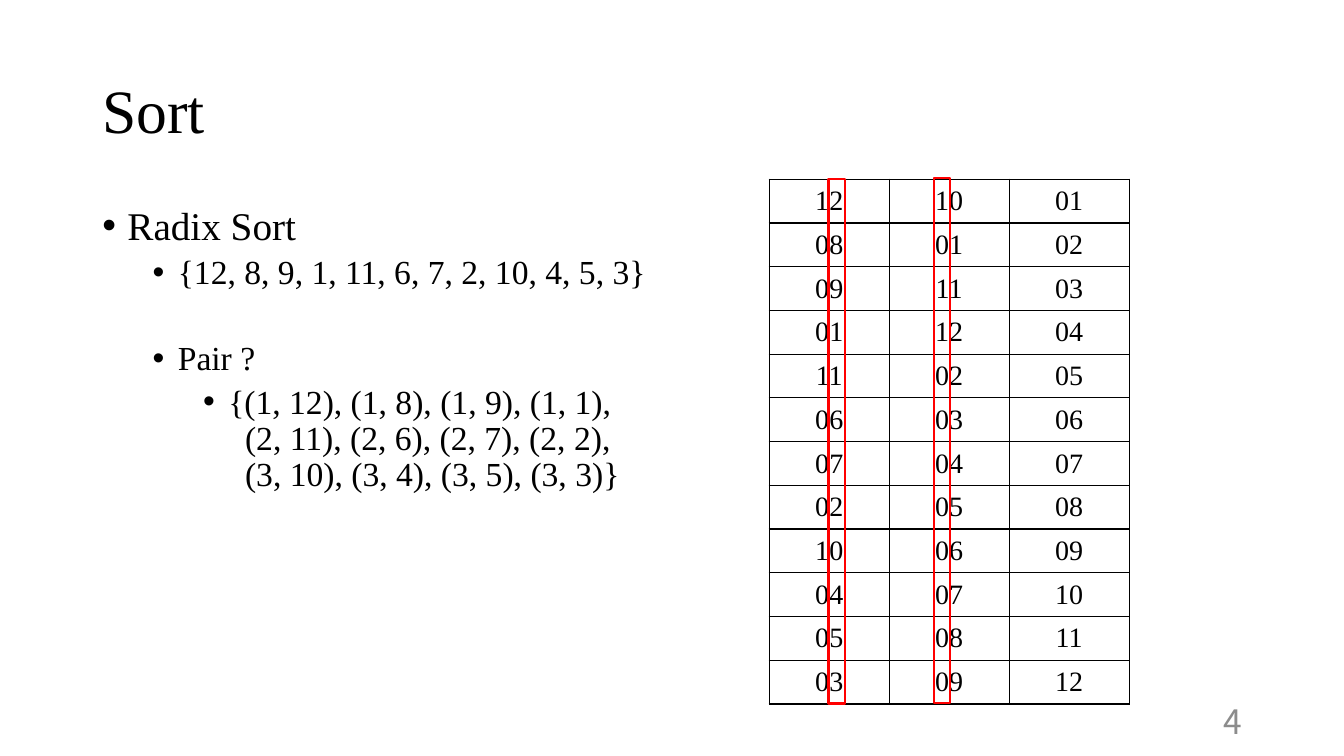
import pptx
import pptx.util
import pptx.dml.color
import pptx.enum.shapes
import pptx.enum.text
import pptx.oxml
import pptx.oxml.ns

Pt = pptx.util.Pt
RGBColor = pptx.dml.color.RGBColor
ALIGN = pptx.enum.text.PP_ALIGN
ANCHOR = pptx.enum.text.MSO_ANCHOR
BLACK = RGBColor(0, 0, 0)
GRAY = RGBColor(0x8C, 0x8C, 0x8C)
RED = RGBColor(0xFF, 0, 0)
SERIF = "Times New Roman"
SANS = "Noto Sans CJK JP"
NUMS = [12, 8, 9, 1, 11, 6, 7, 2, 10, 4, 5, 3]
LINES = [
    ("Radix Sort", 0, 18, 28, 0, True),
    ("{12, 8, 9, 1, 11, 6, 7, 2, 10, 4, 5, 3}", 1, 54, 24, 5, True),
    ("Pair ?", 1, 54, 24, 35.5, True),
    ("{(1, 12), (1, 8), (1, 9), (1, 1),", 2, 90, 24, 5, True),
    ("(2, 11), (2, 6), (2, 7), (2, 2),", 2, 102, 24, 0, False),
    ("(3, 10), (3, 4), (3, 5), (3, 3)}", 2, 102, 24, 0, False),
]


def make(tag, **attrs):
    node = pptx.oxml.parse_xml(f"<a:{tag} {pptx.oxml.ns.nsdecls('a')}/>")
    for key, value in attrs.items():
        node.set(key, str(value))
    return node


def style(para, size, name=SERIF, color=BLACK):
    for run in para.runs:
        run.font.size = Pt(size)
        run.font.name = name
        run.font.color.rgb = color


def add_box(slide, left, top, width, height, anchor):
    box = slide.shapes.add_textbox(Pt(left), Pt(top), Pt(width), Pt(height))
    frame = box.text_frame
    frame.word_wrap = True
    frame.vertical_anchor = anchor
    return frame


def add_title(slide, text):
    frame = add_box(slide, 66, 28.8, 828, 104.4, ANCHOR.MIDDLE)
    frame.text = text
    para = frame.paragraphs[0]
    para.line_spacing = 0.9
    style(para, 44)


def add_list(slide):
    frame = add_box(slide, 66, 144, 828, 342.7, ANCHOR.TOP)
    frame.text = "\n".join(line[0] for line in LINES)
    for para, (_, level, left, size, gap, dot) in zip(frame.paragraphs, LINES):
        para.level = level
        para.line_spacing = 0.9
        para.space_before = Pt(gap)
        props = para._p.get_or_add_pPr()
        props.set("marL", str(Pt(left)))
        props.set("indent", str(Pt(-18 if dot else 0)))
        if dot:
            props.append(make("buFont", typeface="Arial"))
            props.append(make("buChar", char="•"))
        else:
            props.append(make("buNone"))
        style(para, size)


def add_page(slide, text):
    frame = add_box(slide, 678, 500.4, 216, 28.8, ANCHOR.MIDDLE)
    frame.text = text
    para = frame.paragraphs[0]
    para.alignment = ALIGN.RIGHT
    style(para, 24, SANS, GRAY)


def set_edges(cell):
    props = cell._tc.get_or_add_tcPr()
    for tag in ("lnL", "lnR", "lnT", "lnB"):
        edge = make(tag, w=Pt(1))
        fill = make("solidFill")
        fill.append(make("srgbClr", val=BLACK))
        edge.append(fill)
        props.append(edge)


def add_grid(slide):
    passes = [NUMS, sorted(NUMS, key=lambda num: num % 10), sorted(NUMS)]
    rows = list(zip(*passes))
    shape = slide.shapes.add_table(
        len(rows), len(passes), Pt(549.5), Pt(128), Pt(257.1), Pt(354))
    table = shape.table
    table.first_row = False
    table.horz_banding = False
    for col in table.columns:
        col.width = Pt(85.7)
    for i, row in enumerate(rows):
        table.rows[i].height = Pt(29.5)
        for j, num in enumerate(row):
            cell = table.cell(i, j)
            set_edges(cell)
            cell.fill.background()
            cell.vertical_anchor = ANCHOR.MIDDLE
            cell.text_frame.text = f"{num:02d}"
            para = cell.text_frame.paragraphs[0]
            para.alignment = ALIGN.CENTER
            style(para, 20)


def add_mark(slide, left, top):
    mark = slide.shapes.add_shape(
        pptx.enum.shapes.MSO_SHAPE.RECTANGLE,
        Pt(left), Pt(top), Pt(11.9), Pt(374.5))
    mark.shadow.inherit = False
    mark.fill.background()
    mark.line.color.rgb = RED
    mark.line.width = Pt(1.5)


def main():
    deck = pptx.Presentation()
    deck.slide_width = Pt(960)
    deck.slide_height = Pt(540)
    slide = deck.slides.add_slide(deck.slide_layouts[6])
    add_title(slide, "Sort")
    add_list(slide)
    add_page(slide, "4")
    add_grid(slide)
    add_mark(slide, 591.8, 128)
    add_mark(slide, 667, 127.4)
    deck.save("out.pptx")


if __name__ == "__main__":
    main()
